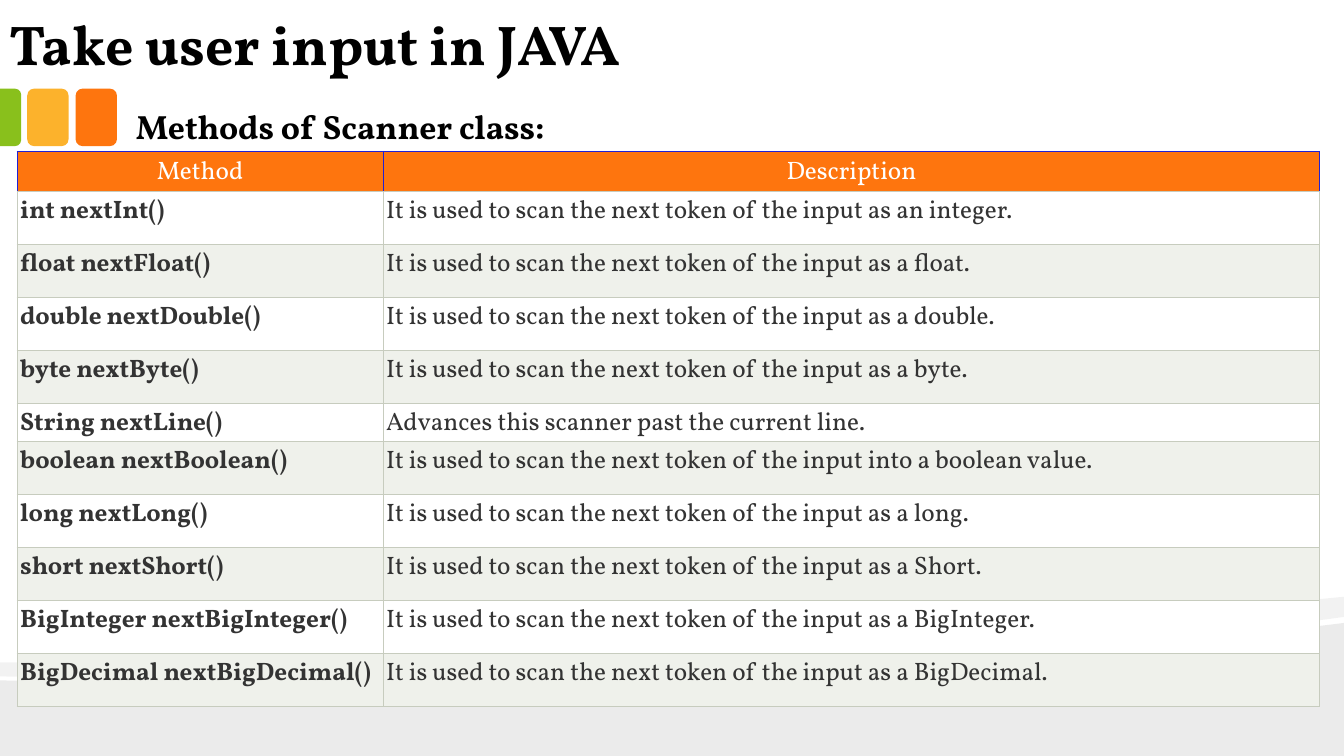
"""Build a slide listing the input methods of the Java Scanner class."""
from lxml.etree import SubElement
from pptx import Presentation
from pptx.dml.color import RGBColor
from pptx.enum.shapes import MSO_SHAPE
from pptx.enum.text import MSO_ANCHOR, MSO_AUTO_SIZE, PP_ALIGN
from pptx.oxml.ns import qn
from pptx.util import Inches, Pt

FONT = "Vollkorn"
BLACK = RGBColor(0x00, 0x00, 0x00)
WHITE = RGBColor(0xFF, 0xFF, 0xFF)
ORANGE = RGBColor(0xFE, 0x75, 0x0E)
YELLOW = RGBColor(0xFC, 0xB2, 0x2C)
GREEN = RGBColor(0x89, 0xC0, 0x1C)
BAND = RGBColor(0xEF, 0xF1, 0xEB)
BODY_TEXT = RGBColor(0x33, 0x33, 0x33)
GRID = RGBColor(0xC7, 0xCC, 0xBE)
HEADER_GRID = RGBColor(0x20, 0x20, 0xD5)

TOKEN = "It is used to scan the next token of the input "
METHODS = [
    ("Method", "Description"),
    ("int nextInt()", TOKEN + "as an integer."),
    ("float nextFloat()", TOKEN + "as a float."),
    ("double nextDouble()", TOKEN + "as a double."),
    ("byte nextByte()", TOKEN + "as a byte."),
    ("String nextLine()", "Advances this scanner past the current line."),
    ("boolean nextBoolean()", TOKEN + "into a boolean value."),
    ("long nextLong()", TOKEN + "as a long."),
    ("short nextShort()", TOKEN + "as a Short."),
    ("BigInteger nextBigInteger()", TOKEN + "as a BigInteger."),
    ("BigDecimal nextBigDecimal()", TOKEN + "as a BigDecimal."),
]


def to_emu(points):
    """Convert points in inches to slide units."""
    return [(Inches(x), Inches(y)) for x, y in points]


def style_text(paragraph, size, color, bold):
    """Format every run of a paragraph."""
    for run in paragraph.runs:
        run.font.name = FONT
        run.font.size = Pt(size)
        run.font.bold = bold
        run.font.color.rgb = color


prs = Presentation()
prs.slide_width = Inches(13.33)
prs.slide_height = Inches(7.5)
slide = prs.slides.add_slide(prs.slide_layouts[6])
shapes = slide.shapes
slide.background.fill.solid()
slide.background.fill.fore_color.rgb = WHITE

lower_wave = [[
    [(13.33, 6.18)], [(13.33, 7.5)], [(0, 7.5)], [(0, 6.75)],
    [(3.52, 6.83), (10.42, 6.55), (13.33, 6.18)],
]]
upper_wave = [
    [[(0.01, 7.51)], [(13.33, 7.51)]],
    [
        [(13.33, 5.92)], [(13.33, 6.12)],
        [(12.55, 6.23), (11.49, 6.33), (10.29, 6.41)],
        [(6.98, 6.63), (2.58, 6.77), (0, 6.71)],
        [(0, 6.57)],
        [(6.52, 6.62), (9.71, 6.27), (13.33, 5.92)],
    ],
]
for contours, opacity in ((lower_wave, 8), (upper_wave, 5)):
    builder = shapes.build_freeform(*to_emu(contours[0][0])[0])
    for number, (start, *segments) in enumerate(contours):
        if number:
            builder.move_to(*to_emu(start)[0])
        builder.add_line_segments(to_emu(sum(segments, [])))
    wave = builder.convert_to_shape()
    edges = iter(list(wave._element.iter(qn("a:lnTo"))))
    for start, *segments in contours:
        for segment in segments:
            first, *others = [next(edges) for point in segment]
            if others:
                first.tag = qn("a:cubicBezTo")
            for other in others:
                first.append(other[0])
                other.getparent().remove(other)
    wave.shadow.inherit = False
    wave.line.fill.background()
    wave.fill.solid()
    wave.fill.fore_color.rgb = BLACK
    wave_color = wave.fill._xPr.find(qn("a:solidFill"))[0]
    SubElement(wave_color, qn("a:alpha")).set("val", str(opacity * 1000))

TILES = [
    (MSO_SHAPE.ROUNDED_RECTANGLE, 0.75, 0.88, 0.41, 0.57, 0, (0.167,), ORANGE),
    (MSO_SHAPE.ROUNDED_RECTANGLE, 0.27, 0.88, 0.41, 0.57, 0, (0.167,), YELLOW),
    (MSO_SHAPE.ROUND_2_SAME_RECTANGLE, -0.18, 1.06, 0.57, 0.21, 90, (0.292, 0), GREEN),
]
for preset, left, top, width, height, rotation, roundings, color in TILES:
    tile = shapes.add_shape(preset, Inches(left), Inches(top), Inches(width), Inches(height))
    tile.rotation = rotation
    for index, rounding in enumerate(roundings):
        tile.adjustments[index] = rounding
    tile.shadow.inherit = False
    tile.line.fill.background()
    tile.fill.solid()
    tile.fill.fore_color.rgb = color

title = shapes.add_textbox(Inches(-0.04), 0, Inches(10.37), Inches(0.83)).text_frame
title.text = "Take user input in JAVA"
title.word_wrap = True
title.vertical_anchor = MSO_ANCHOR.BOTTOM
title.margin_left = title.margin_right = Inches(0.13)
title.margin_top = title.margin_bottom = Inches(0.07)
style_text(title.paragraphs[0], 40, BLACK, True)

subtitle = shapes.add_textbox(Inches(1.25), Inches(1), Inches(11.58), Inches(0.5)).text_frame
subtitle.text = "Methods of Scanner class:"
subtitle.word_wrap = True
subtitle.auto_size = MSO_AUTO_SIZE.SHAPE_TO_FIT_TEXT
style_text(subtitle.paragraphs[0], 24, BLACK, True)

header_height, short_height, table_height = 0.4, 0.37, 5.51
tall_height = (table_height - header_height - short_height) / 9
row_heights = [header_height] + [tall_height] * 4 + [short_height] + [tall_height] * 5
column_widths = [3.63, 9.29]
methods = shapes.add_table(
    len(METHODS), 2, Inches(0.17), Inches(1.5),
    Inches(sum(column_widths)), Inches(table_height)).table
methods.horz_banding = False
for column, width in zip(methods.columns, column_widths):
    column.width = Inches(width)
for row, height in zip(methods.rows, row_heights):
    row.height = Inches(height)

for row_index, entry in enumerate(METHODS):
    is_header = row_index == 0
    for column_index, words in enumerate(entry):
        cell = methods.cell(row_index, column_index)
        cell.text = words
        margin = Inches(0.04 if is_header else 0.03)
        cell.margin_left = cell.margin_right = margin
        cell.margin_top = cell.margin_bottom = margin
        paragraph = cell.text_frame.paragraphs[0]
        paragraph.alignment = PP_ALIGN.CENTER if is_header else PP_ALIGN.JUSTIFY
        style_text(paragraph, 18, WHITE if is_header else BODY_TEXT,
                   not is_header and column_index == 0)
        properties = cell._tc.get_or_add_tcPr()
        for side in ("lnL", "lnR", "lnT", "lnB"):
            border = SubElement(properties, qn("a:" + side), w=str(Pt(0.75)))
            border_color = HEADER_GRID if is_header and side != "lnB" else GRID
            SubElement(SubElement(border, qn("a:solidFill")), qn("a:srgbClr"),
                       val=str(border_color))
        cell.fill.solid()
        cell.fill.fore_color.rgb = (
            ORANGE if is_header else WHITE if row_index % 2 else BAND)

prs.save("out.pptx")
